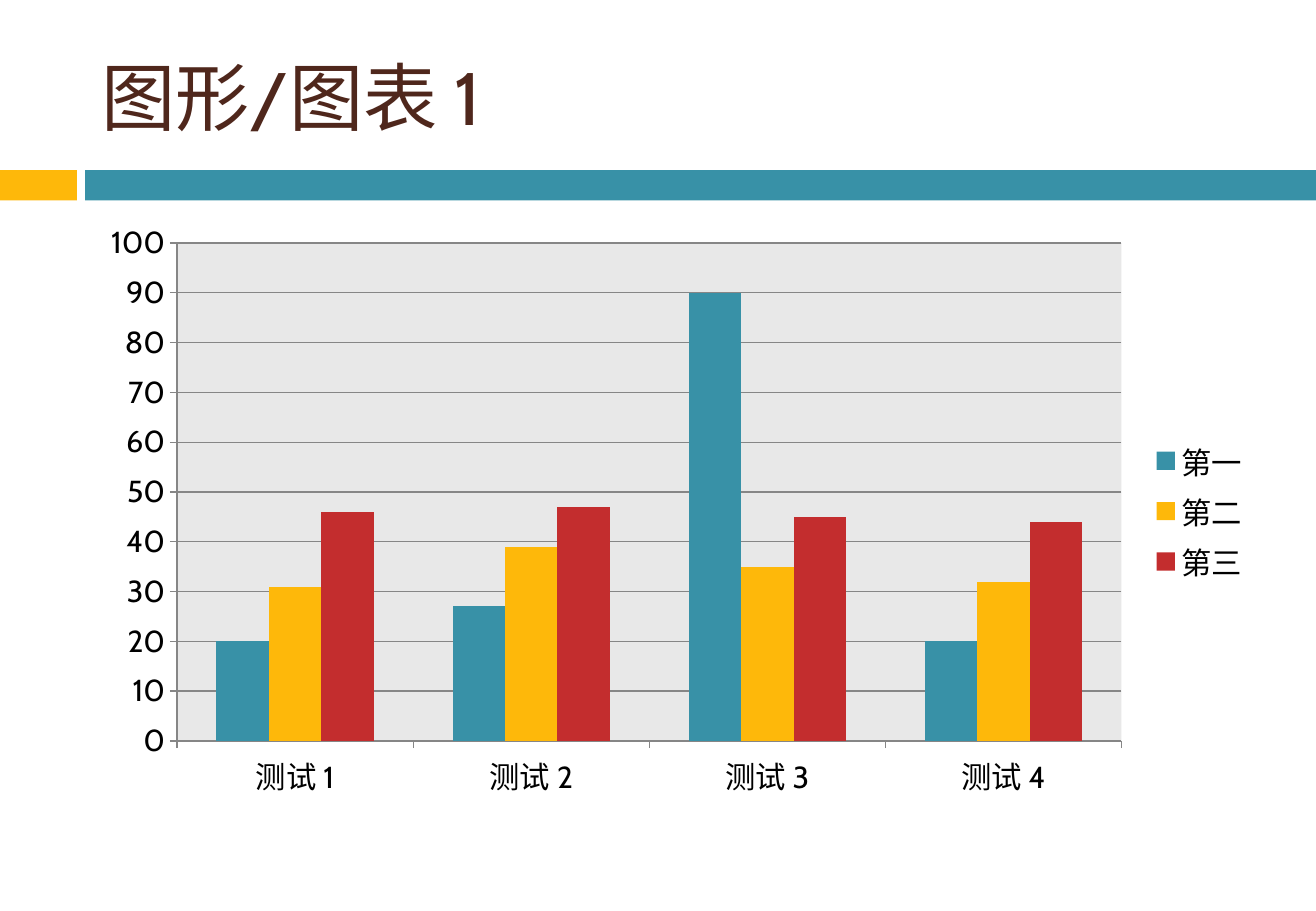
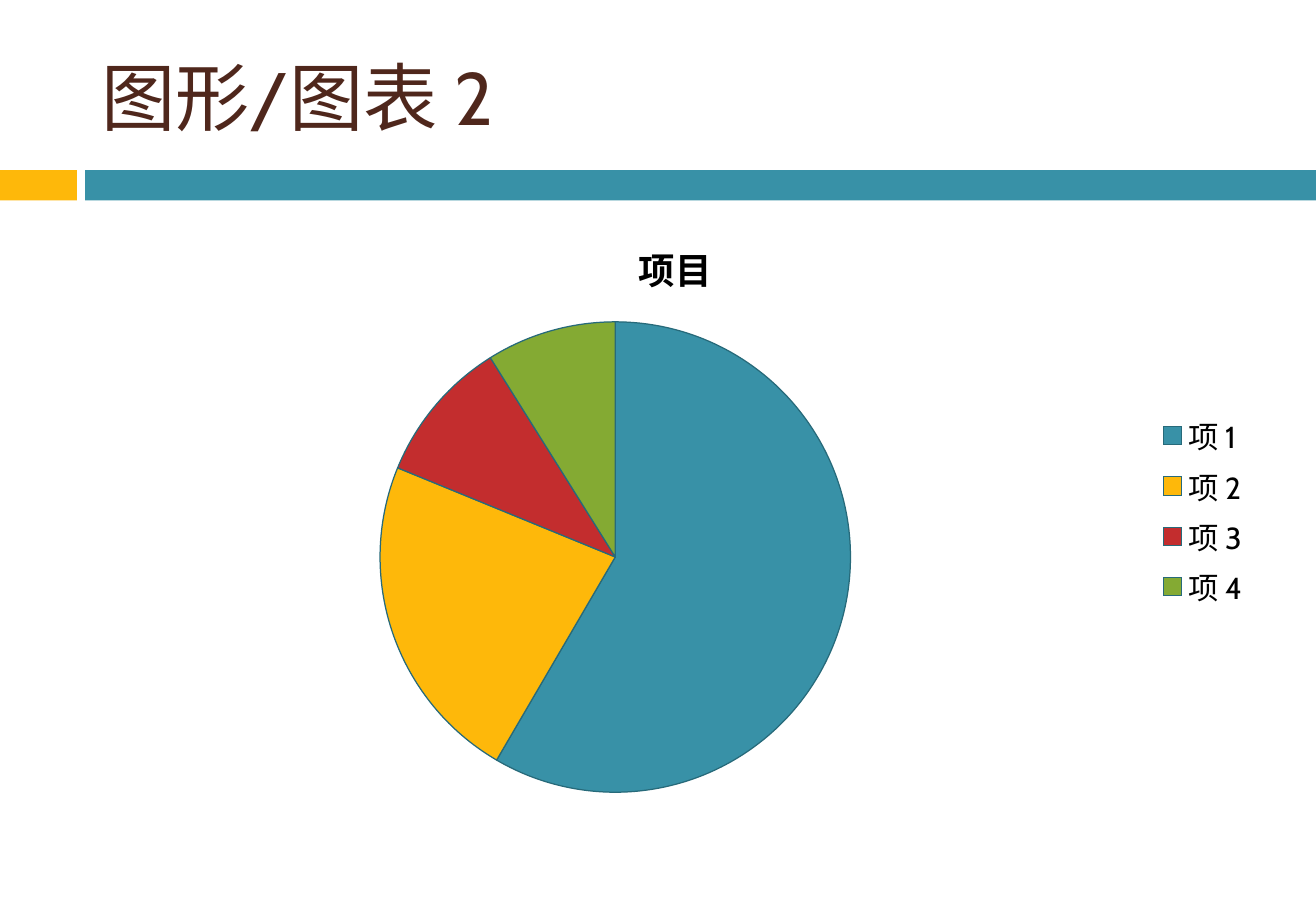
from dataclasses import dataclass

from lxml.etree import SubElement
from pptx import Presentation
from pptx.chart.data import CategoryChartData
from pptx.dml.color import RGBColor
from pptx.enum.chart import XL_CHART_TYPE as ChartType
from pptx.enum.chart import XL_LEGEND_POSITION as LegendPosition
from pptx.enum.chart import XL_TICK_MARK as TickMark
from pptx.enum.shapes import MSO_SHAPE as Preset
from pptx.enum.text import MSO_ANCHOR as Anchor
from pptx.enum.text import PP_ALIGN as Align
from pptx.oxml import parse_xml
from pptx.oxml.ns import nsdecls, qn
from pptx.util import Pt

EMU_PER_PX = 7620  # 120 px to the inch
TITLE_ONLY = 5


@dataclass(frozen=True)
class Theme:
    latin: str = "Cabin"
    cjk: str = "Noto Sans CJK SC"
    title: str = "4F271C"
    text: str = "000000"
    accents: tuple = ("3891A7", "FEB80A", "C32D2E", "84AA33")
    plot_fill: str = "E8E8E8"
    grid: str = "868686"
    slice_line: str = "276A7A"
    title_size: float = 44
    chart_title_size: float = 21.6
    chart_size: float = 18


THEME = Theme()

# Boxes in px: left, top, width, height
SLIDE_SIZE = (1300, 900)
TITLE_BOX = (88, 30, 1159, 130)
CHART_BOX = (88, 210, 1159, 590)
BAND_BOX = (0, 168, 1300, 30)


def px(*lengths):
    return [length * EMU_PER_PX for length in lengths]


def rgb(color):
    return RGBColor.from_string(color)


def paint(fill, color):
    fill.solid()
    fill.fore_color.rgb = rgb(color)


def style_font(font, size, color, latin=THEME.latin, bold=False):
    font.size, font.name, font.bold = Pt(size), latin, bold
    font.color.rgb = rgb(color)
    SubElement(font._rPr, qn("a:ea"), typeface=THEME.cjk)


# Shared layout: the two-part band below the title
def build_layout(layout, slide):
    for placeholder in list(layout.placeholders)[1:]:
        placeholder.element.getparent().remove(placeholder.element)

    left, top, width, height = BAND_BOX
    tab_width, gap = 76, 8
    bar_left = left + tab_width + gap
    parts = (
        (left, tab_width, THEME.accents[1]),
        (bar_left, left + width - bar_left, THEME.accents[0]),
    )
    for part_left, part_width, color in parts:
        band = slide.shapes.add_shape(
            Preset.RECTANGLE, *px(part_left, top, part_width, height))
        band.shadow.inherit = False
        paint(band.fill, color)
        band.line.fill.background()
        layout.shapes.element.append(band.element)


def add_title(slide, text, box):
    title = slide.shapes.title
    title.left, title.top, title.width, title.height = px(*box)
    frame = title.text_frame
    frame.text = text
    frame.vertical_anchor = Anchor.MIDDLE
    heading = frame.paragraphs[0]
    heading.alignment = Align.LEFT
    style_font(heading.font, THEME.title_size, THEME.title)


def add_chart(slide, kind, categories, series, box, plot_box):
    data = CategoryChartData()
    data.categories = categories
    for name, values in series:
        data.add_series(name, values)
    chart = slide.shapes.add_chart(kind, *px(*box), data).chart
    style_font(chart.font, THEME.chart_size, THEME.text)
    chart.has_legend = True
    chart.legend.position = LegendPosition.RIGHT
    chart.legend.include_in_layout = False
    place_plot(chart, box, plot_box)
    return chart


# The plot box is measured in px from the corner of the chart box
def place_plot(chart, box, plot_box):
    area = chart._chartSpace.chart.plotArea
    for old_layout in area.findall(qn("c:layout")):
        area.remove(old_layout)
    layout = parse_xml(f"<c:layout {nsdecls('c')}><c:manualLayout/></c:layout>")
    settings = [("layoutTarget", "inner"), ("xMode", "edge"), ("yMode", "edge")]
    settings += [(key, f"{length / whole:.3f}") for key, length, whole
                 in zip("xywh", plot_box, box[2:] * 2)]
    for key, value in settings:
        SubElement(layout[0], qn(f"c:{key}"), val=value)
    area.insert(0, layout)


def add_column_chart(slide, categories, series, box):
    chart = add_chart(slide, ChartType.COLUMN_CLUSTERED, categories, series,
                      box, (87, 30, 933, 492))
    chart.has_title = False
    plot = chart.plots[0]
    plot.gap_width, plot.overlap = 150, 0
    plot.vary_by_categories = False
    for columns, color in zip(plot.series, THEME.accents):
        paint(columns.format.fill, color)

    # Axes and grid
    values = chart.value_axis
    values.minimum_scale, values.maximum_scale, values.major_unit = 0, 100, 10
    values.has_major_gridlines = True
    for axis in (values, chart.category_axis):
        axis.major_tick_mark = TickMark.OUTSIDE
        axis.minor_tick_mark = TickMark.NONE
    for ruled in (values, values.major_gridlines, chart.category_axis):
        ruled.format.line.color.rgb = rgb(THEME.grid)
        ruled.format.line.width = Pt(0.75)

    # Plot background
    chart._chartSpace.chart.plotArea.append(parse_xml(
        f"<c:spPr {nsdecls('c', 'a')}><a:solidFill>"
        f"<a:srgbClr val='{THEME.plot_fill}'/></a:solidFill></c:spPr>"))


def add_pie_chart(slide, categories, series, box):
    chart = add_chart(slide, ChartType.PIE, categories, series,
                      box, (288, 108, 465, 465))
    plot = chart.plots[0]
    plot.vary_by_categories = True
    for index, color in enumerate(THEME.accents):
        piece = plot.series[0].points[index].format
        paint(piece.fill, color)
        piece.line.color.rgb = rgb(THEME.slice_line)
        piece.line.width = Pt(0.75)

    # Chart title
    frame = chart.chart_title.text_frame
    frame.text = series[0][0]
    style_font(frame.paragraphs[0].font, THEME.chart_title_size, THEME.text,
               latin=THEME.cjk, bold=True)


SLIDES = (
    ("图形/图表 1", add_column_chart, [f"测试 {n}" for n in range(1, 5)], (
        ("第一", (20, 27, 90, 20)),
        ("第二", (31, 39, 35, 32)),
        ("第三", (46, 47, 45, 44)),
    )),
    ("图形/图表 2", add_pie_chart, [f"项 {n}" for n in range(1, 5)], (
        ("项目", (59, 23, 10, 9)),
    )),
)


def main():
    deck = Presentation()
    deck.slide_width, deck.slide_height = px(*SLIDE_SIZE)
    layout = deck.slide_layouts[TITLE_ONLY]
    for number, (title, add_content, categories, series) in enumerate(SLIDES):
        slide = deck.slides.add_slide(layout)
        if number == 0:
            build_layout(layout, slide)
        add_title(slide, title, TITLE_BOX)
        add_content(slide, categories, series, CHART_BOX)
    deck.save("out.pptx")


if __name__ == "__main__":
    main()
